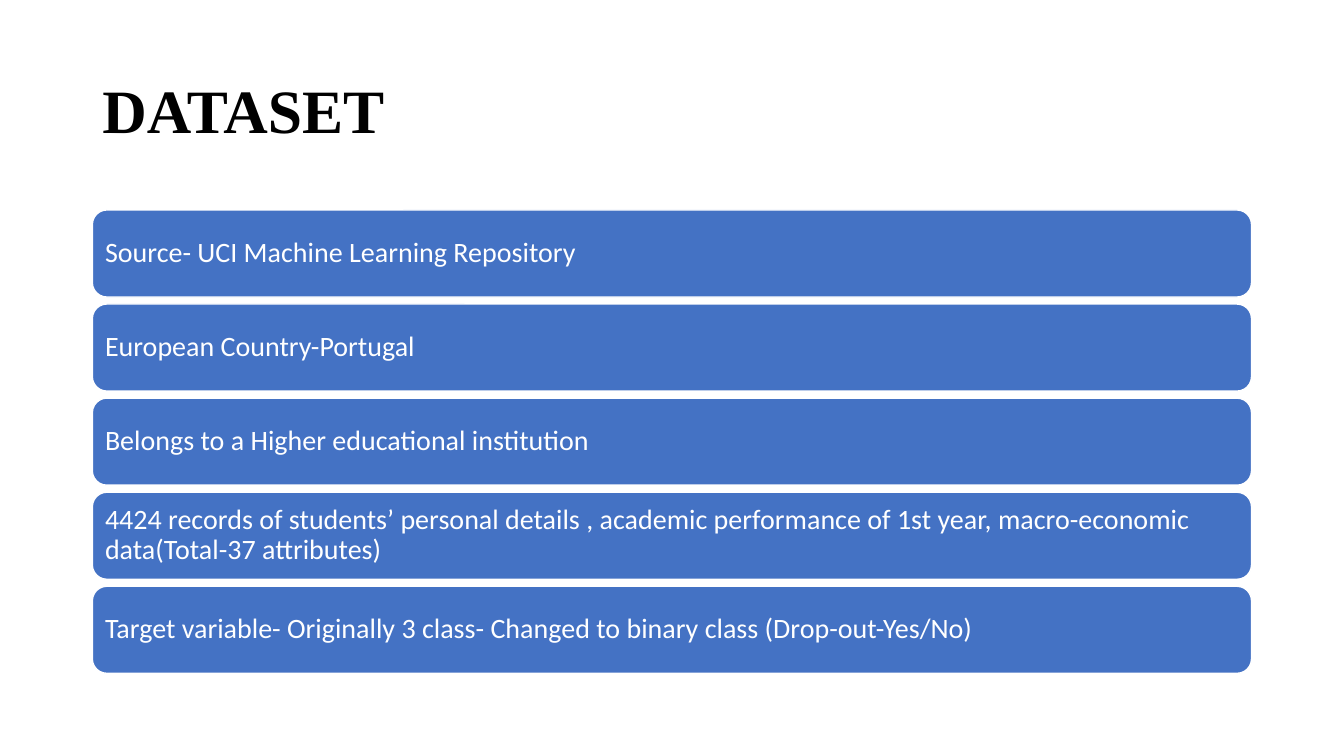
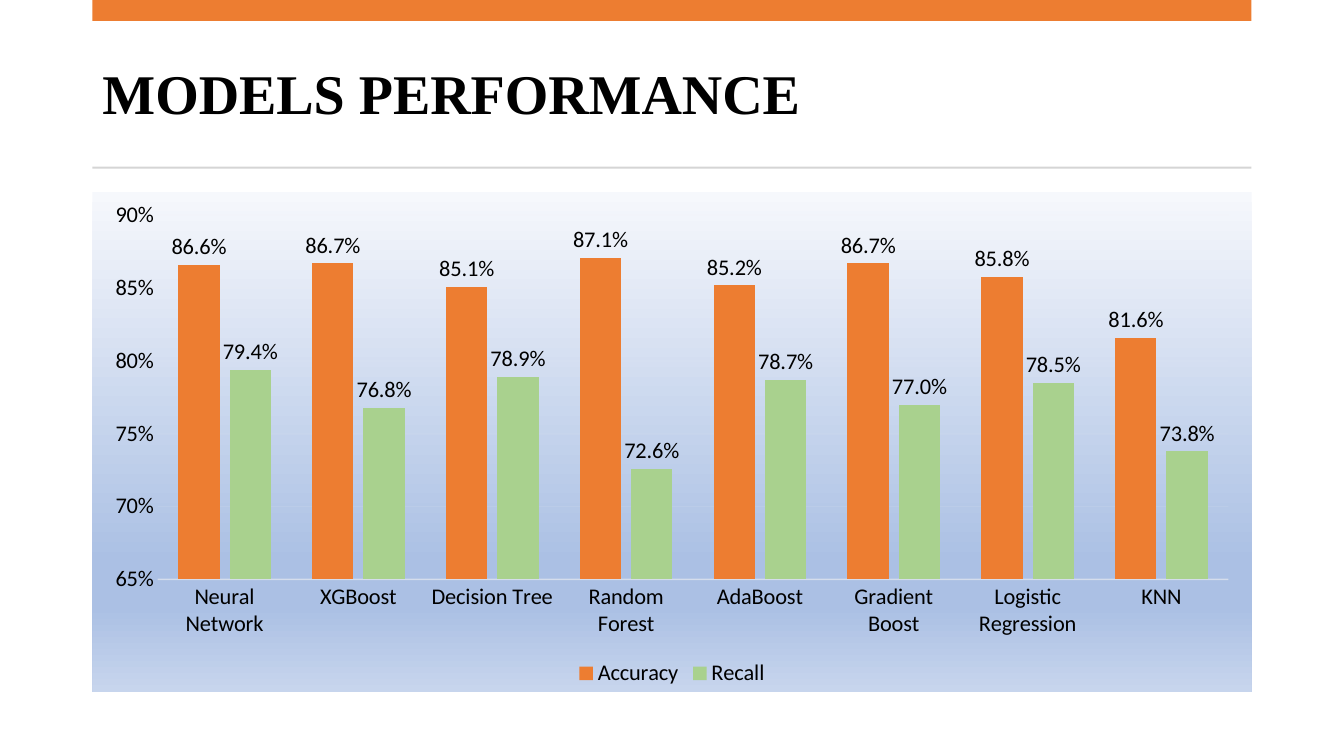
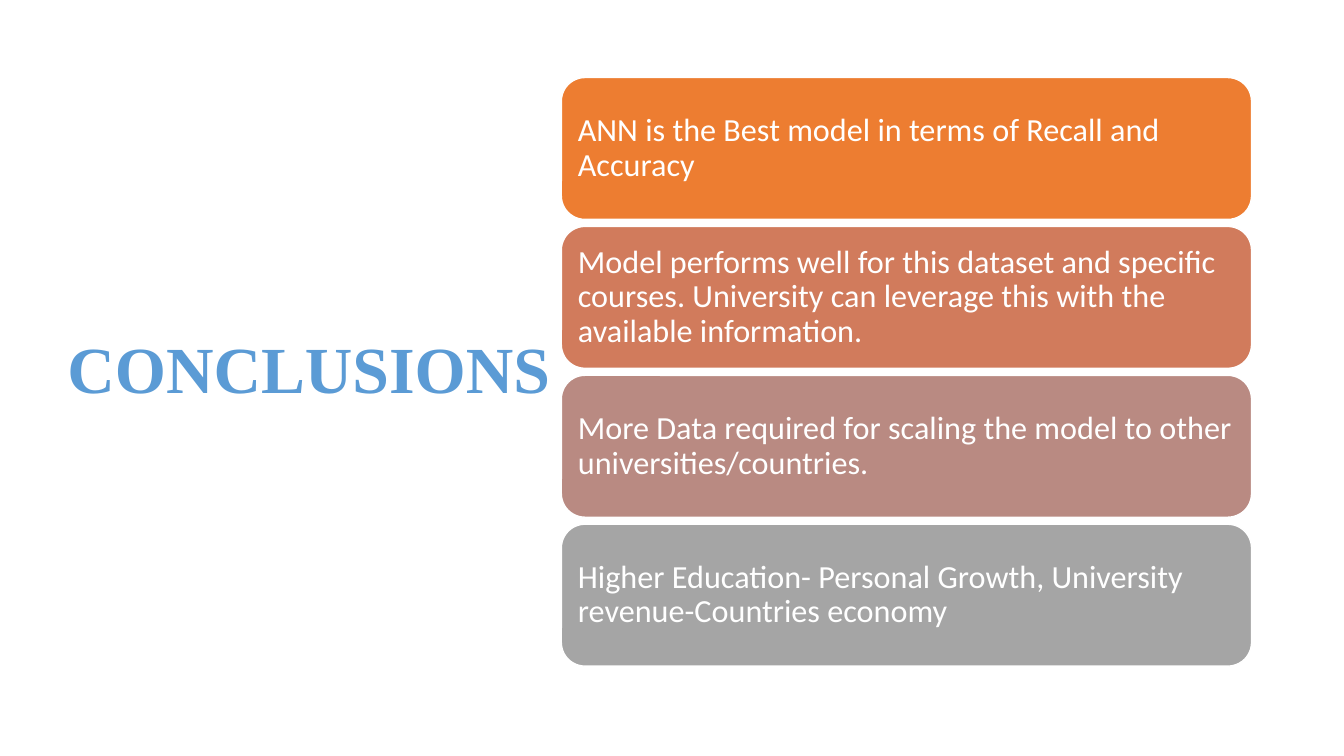
from pptx import Presentation
from pptx.chart.data import CategoryChartData
from pptx.dml.color import RGBColor as Rgb
from pptx.enum.chart import XL_CHART_TYPE as ChartType, XL_LABEL_POSITION as LabelPosition
from pptx.enum.chart import XL_LEGEND_POSITION as LegendPosition, XL_TICK_MARK as TickMark
from pptx.enum.shapes import MSO_SHAPE as Shape
from pptx.enum.text import MSO_ANCHOR as Anchor, MSO_AUTO_SIZE as AutoSize, PP_ALIGN as Align
from pptx.oxml import parse_xml
from pptx.oxml.ns import nsdecls
from pptx.util import Pt

COLORS = {
    "black": "000000", "white": "FFFFFF", "blue": "4472C4", "sky": "5B9BD5",
    "orange": "ED7D31", "terracotta": "D17B5C", "rose": "B98A82", "gray": "A5A5A5",
    "green": "A9D18E", "rule": "D5D5D5", "grid": "F2F2F2",
    "chart_top": "F6F8FC", "chart_low": "ABC0E4", "chart_bottom": "C7D5ED",
}
TITLE_FONT, BODY_FONT = "Times New Roman", "Calibri"
MARGIN, CONTENT_WIDTH = 66, 828

DATASET_FACTS = [
    "Source- UCI Machine Learning Repository",
    "European Country-Portugal",
    "Belongs to a Higher educational institution",
    "4424 records of students’ personal details , academic performance of 1st year, "
    "macro-economic data(Total-37 attributes)",
    "Target variable- Originally 3 class- Changed to binary class (Drop-out-Yes/No)",
]
CONCLUSIONS = [
    "ANN is the Best model in terms of Recall and Accuracy",
    "Model performs well for this dataset and specific courses. University can leverage "
    "this with the available information.",
    "More Data required for scaling the model to other universities/countries.",
    "Higher Education- Personal Growth, University revenue-Countries economy",
]
MODELS = ["Neural Network", "XGBoost", "Decision Tree", "Random Forest", "AdaBoost",
          "Gradient Boost", "Logistic Regression", "KNN"]
SCORES = [
    ("Accuracy", "orange", [0.866, 0.867, 0.851, 0.871, 0.852, 0.867, 0.858, 0.816]),
    ("Recall", "green", [0.794, 0.768, 0.789, 0.726, 0.787, 0.77, 0.785, 0.738]),
]


def color(name):
    """Return the named palette colour."""
    return Rgb.from_string(COLORS[name])


def points(box):
    """Convert a box of numbers to point lengths."""
    return [Pt(value) for value in box]


def style_font(font, size, name=BODY_FONT, color_name="black", bold=False):
    """Set the size, face, colour and weight of a font."""
    font.size, font.name, font.bold = Pt(size), name, bold
    font.color.rgb = color(color_name)


def format_text(shape, text, anchor=Anchor.MIDDLE):
    """Fill a shape with one left-aligned paragraph and return it."""
    frame = shape.text_frame
    frame.text = text
    frame.word_wrap, frame.auto_size = True, AutoSize.NONE
    frame.vertical_anchor = anchor
    paragraph = frame.paragraphs[0]
    paragraph.alignment, paragraph.line_spacing = Align.LEFT, 0.9
    return paragraph


def add_titled_slide(presentation, text, box, size, color_name="black"):
    """Add a title-only slide with its title placed in the box."""
    slide = presentation.slides.add_slide(presentation.slide_layouts[5])
    title = slide.shapes.title
    title.left, title.top, title.width, title.height = points(box)
    paragraph = format_text(title, text)
    style_font(paragraph.font, size, TITLE_FONT, color_name, bold=True)
    return slide


def add_panel(slide, kind, box, fill, outline=None):
    """Add a flat preset shape with an optional one-point outline."""
    panel = slide.shapes.add_shape(kind, *points(box))
    panel.shadow.inherit = False
    panel.fill.solid()
    panel.fill.fore_color.rgb = color(fill)
    if outline:
        panel.line.color.rgb = color(outline)
        panel.line.width = Pt(1)
    else:
        panel.line.fill.background()
    return panel


def add_card_stack(slide, box, texts, fills, size, gap=5):
    """Stack equal rounded cards down the height of the box."""
    left, top, width, height = box
    card_height = (height - gap * (len(texts) - 1)) / len(texts)
    for row, (text, fill) in enumerate(zip(texts, fills)):
        card_top = top + row * (card_height + gap)
        card = add_panel(slide, Shape.ROUNDED_RECTANGLE,
                         (left, card_top, width, card_height), fill, "white")
        paragraph = format_text(card, text)
        style_font(paragraph.font, size, color_name="white")
        frame = card.text_frame
        frame.margin_left = frame.margin_right = Pt(0.3 * size)
        frame.margin_top = frame.margin_bottom = Pt(0.3 * size)


def set_opacity(chart, query, percent):
    """Set the opacity of the chart colours that the query finds."""
    for node in chart.element.xpath(query):
        node.append(parse_xml(f'<a:alpha {nsdecls("a")} val="{percent * 1000}"/>'))


def fill_chart_background(chart):
    """Give the chart area a vertical gradient without an outline."""
    stops = [(0, "chart_top"), (74, "chart_low"), (83, "chart_low"), (100, "chart_bottom")]
    stop_xml = "".join(
        f'<a:gs pos="{position * 1000}"><a:srgbClr val="{COLORS[name]}"/></a:gs>'
        for position, name in stops)
    chart.element.xpath("./c:chart")[0].addnext(parse_xml(
        f'<c:spPr {nsdecls("c", "a")}><a:gradFill><a:gsLst>{stop_xml}</a:gsLst>'
        '<a:lin ang="5400000" scaled="0"/></a:gradFill><a:ln><a:noFill/></a:ln></c:spPr>'))


def format_axes(chart):
    """Style the category and percentage axes."""
    categories, values = chart.category_axis, chart.value_axis
    for axis in (categories, values):
        axis.major_tick_mark = axis.minor_tick_mark = TickMark.NONE
        style_font(axis.tick_labels.font, 16)
    values.minimum_scale, values.maximum_scale, values.major_unit = 0.65, 0.9, 0.05
    values.tick_labels.number_format = "0%"
    values.tick_labels.number_format_is_linked = False
    values.format.line.fill.background()
    values.has_major_gridlines = True
    for line, width in ((categories.format.line, 1),
                        (values.major_gridlines.format.line, 0.75)):
        line.color.rgb = color("grid")
        line.width = Pt(width)
    set_opacity(chart, ".//c:catAx/c:spPr//a:srgbClr", 54)
    set_opacity(chart, ".//c:majorGridlines//a:srgbClr", 10)


def add_score_chart(slide, box):
    """Add the clustered column chart of model scores."""
    data = CategoryChartData(number_format="0.0%")
    data.categories = MODELS
    for name, _, values in SCORES:
        data.add_series(name, values)
    chart = slide.shapes.add_chart(ChartType.COLUMN_CLUSTERED, *points(box), data).chart
    style_font(chart.font, 16)
    chart.has_title = False
    chart.has_legend = True
    chart.legend.position = LegendPosition.BOTTOM
    chart.legend.include_in_layout = False
    style_font(chart.legend.font, 16)
    plot = chart.plots[0]
    plot.gap_width, plot.overlap, plot.vary_by_categories = 100, -24, False
    for series, (_, fill, _) in zip(plot.series, SCORES):
        series.format.fill.solid()
        series.format.fill.fore_color.rgb = color(fill)
        labels = series.data_labels
        labels.show_value, labels.position = True, LabelPosition.OUTSIDE_END
        labels.number_format, labels.number_format_is_linked = "0.0%", False
        style_font(labels.font, 16)
    format_axes(chart)
    fill_chart_background(chart)


def build_dataset(presentation):
    """Build the dataset slide."""
    slide = add_titled_slide(presentation, "DATASET", (MARGIN, 28.75, CONTENT_WIDTH, 104.4), 44)
    add_card_stack(slide, (MARGIN, 150, CONTENT_WIDTH, 331), DATASET_FACTS,
                   ["blue"] * len(DATASET_FACTS), 20)


def build_performance(presentation):
    """Build the model performance slide."""
    slide = add_titled_slide(presentation, "MODELS PERFORMANCE",
                             (MARGIN, 26.6, CONTENT_WIDTH, 85), 40)
    add_panel(slide, Shape.RECTANGLE, (MARGIN, 0, CONTENT_WIDTH, 15), "orange")
    add_panel(slide, Shape.RECTANGLE, (MARGIN, 119, CONTENT_WIDTH, 1.44), "rule")
    add_score_chart(slide, (MARGIN, 137, CONTENT_WIDTH, 357))


def build_conclusions(presentation):
    """Build the conclusions slide."""
    slide = add_titled_slide(presentation, "CONCLUSIONS", (41, 49, 360, 433.5), 47, "sky")
    add_card_stack(slide, (401, 55.4, 493, 420.4), CONCLUSIONS,
                   ["orange", "terracotta", "rose", "gray"], 23)


def main():
    """Build and save the presentation."""
    presentation = Presentation()
    presentation.slide_width, presentation.slide_height = Pt(960), Pt(540)
    for build in (build_dataset, build_performance, build_conclusions):
        build(presentation)
    presentation.save("out.pptx")


if __name__ == "__main__":
    main()
